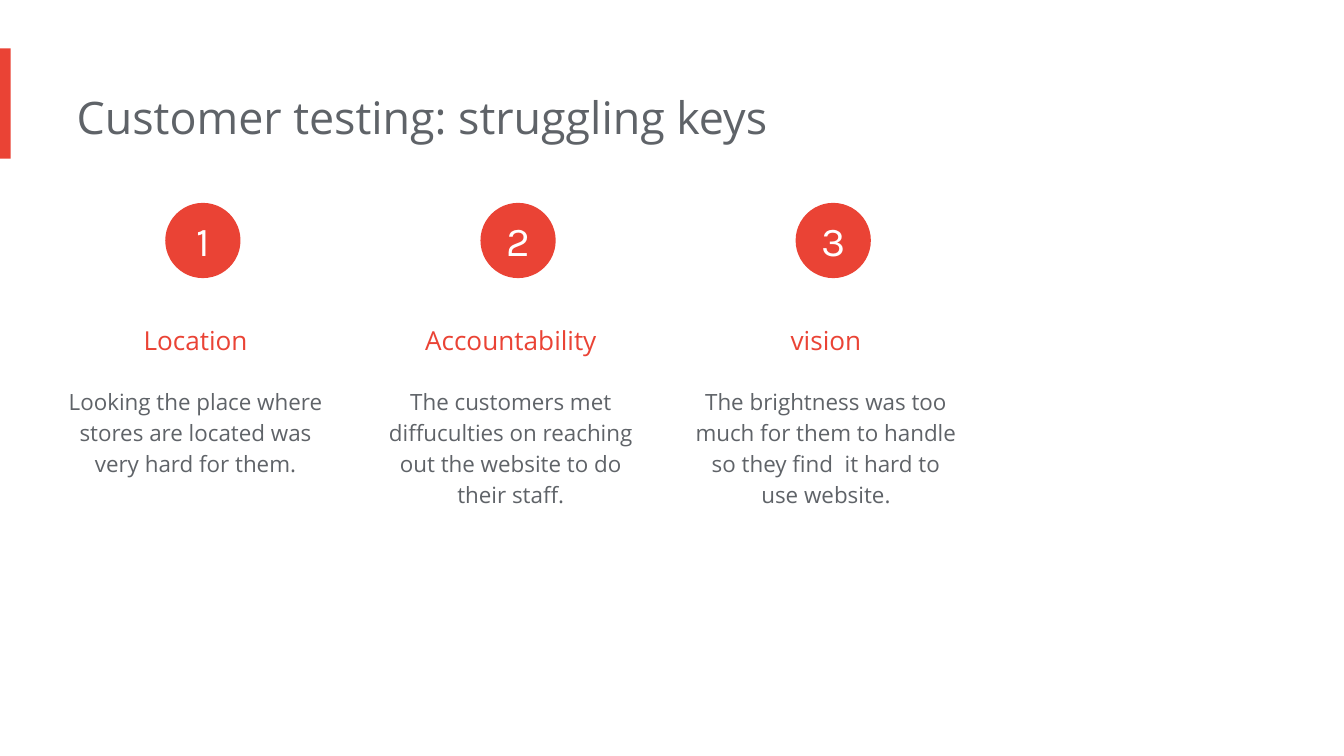
from pptx import Presentation
from pptx.dml.color import RGBColor
from pptx.enum.shapes import MSO_SHAPE
from pptx.enum.text import MSO_ANCHOR, MSO_AUTO_SIZE, PP_ALIGN
from pptx.util import Pt

PX = 4572  # 200 px to the inch
RED = RGBColor(0xEA, 0x43, 0x35)
GREY = RGBColor(0x5F, 0x63, 0x68)
WHITE = RGBColor(0xFF, 0xFF, 0xFF)
SANS, KARLA = "Open Sans", "Karla"

# Heading, body text, body height
KEYS = [
    ("Location",
     "Looking the place where stores are located was very hard for them.", 180),
    ("Accountability",
     "The customers met diffuculties on reaching out the website to do their staff.", 226),
    ("vision",
     "The brightness was too much for them to handle so they find  it hard to use website.", 220),
]


def emu(*vals):
    return [val * PX for val in vals]


def write(frame, text, size, color, font=SANS, align=PP_ALIGN.CENTER, space=1.0):
    para = frame.paragraphs[0]
    para.alignment = align
    para.line_spacing = space
    run = para.add_run()
    run.text = text
    run.font.size = Pt(size)
    run.font.name = font
    run.font.color.rgb = color


def inset(frame, left, rest, anchor):
    frame.word_wrap = True
    frame.margin_left = left * PX
    frame.margin_top = frame.margin_right = frame.margin_bottom = rest * PX
    frame.vertical_anchor = anchor


def add_solid(slide, kind, box):
    shape = slide.shapes.add_shape(kind, *emu(*box))
    shape.shadow.inherit = False
    shape.fill.solid()
    shape.fill.fore_color.rgb = RED
    shape.line.fill.background()
    return shape


def add_label(slide, box, text, size, color, space):
    frame = slide.shapes.add_textbox(*emu(*box)).text_frame
    inset(frame, 0, 20, MSO_ANCHOR.TOP)
    frame.auto_size = MSO_AUTO_SIZE.SHAPE_TO_FIT_TEXT
    write(frame, text, size, color, space=space)


def add_header(slide, left, top, text):
    # Accent bar at the slide edge
    add_solid(slide, MSO_SHAPE.RECTANGLE, (left, top, 16, 164))
    # Title
    title = slide.shapes.title
    title.left, title.top, title.width, title.height = emu(left + 114, top + 42, 1346, 122)
    frame = title.text_frame
    inset(frame, 0, 20, MSO_ANCHOR.TOP)
    frame.auto_size = MSO_AUTO_SIZE.SHAPE_TO_FIT_TEXT
    write(frame, text, 24, GREY, align=PP_ALIGN.LEFT)


def add_key(slide, left, top, width, num, head, body, high):
    # Numbered circle
    disc = add_solid(slide, MSO_SHAPE.OVAL, (left + 150, top, 112, 112))
    inset(disc.text_frame, 0, 0, MSO_ANCHOR.MIDDLE)
    write(disc.text_frame, str(num), 22, WHITE, font=KARLA)
    # Heading and body text
    add_label(slide, (left, top + 138, width, 88), head, 14, RED, 1.5)
    add_label(slide, (left, top + 250, width, high), body, 12, GREY, 1.15)


def main():
    deck = Presentation()
    deck.slide_width, deck.slide_height = emu(2000, 1125)
    slide = deck.slides.add_slide(deck.slide_layouts[5])  # Title Only
    add_header(slide, 0, 72, "Customer testing: struggling keys")
    for i, (head, body, high) in enumerate(KEYS):
        add_key(slide, 96 + i * 469, 302, 410, i + 1, head, body, high)
    deck.save("out.pptx")


if __name__ == "__main__":
    main()
